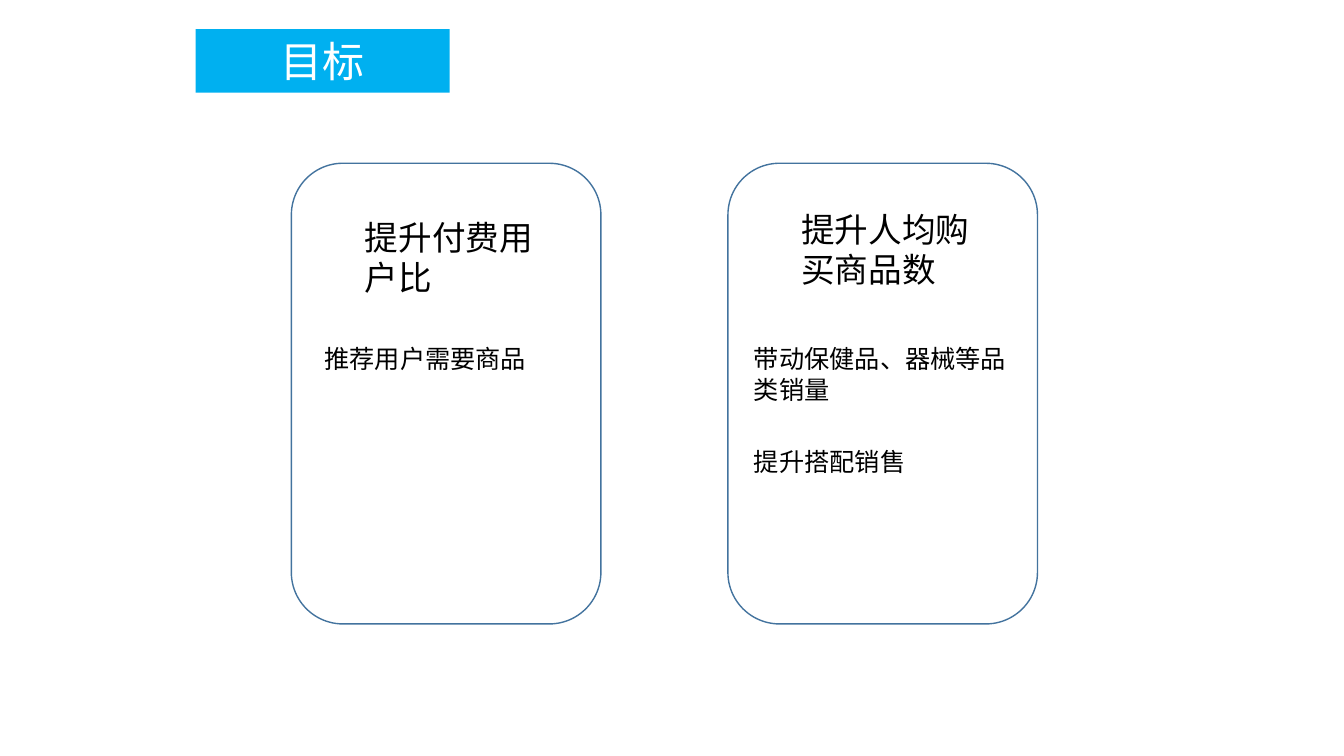
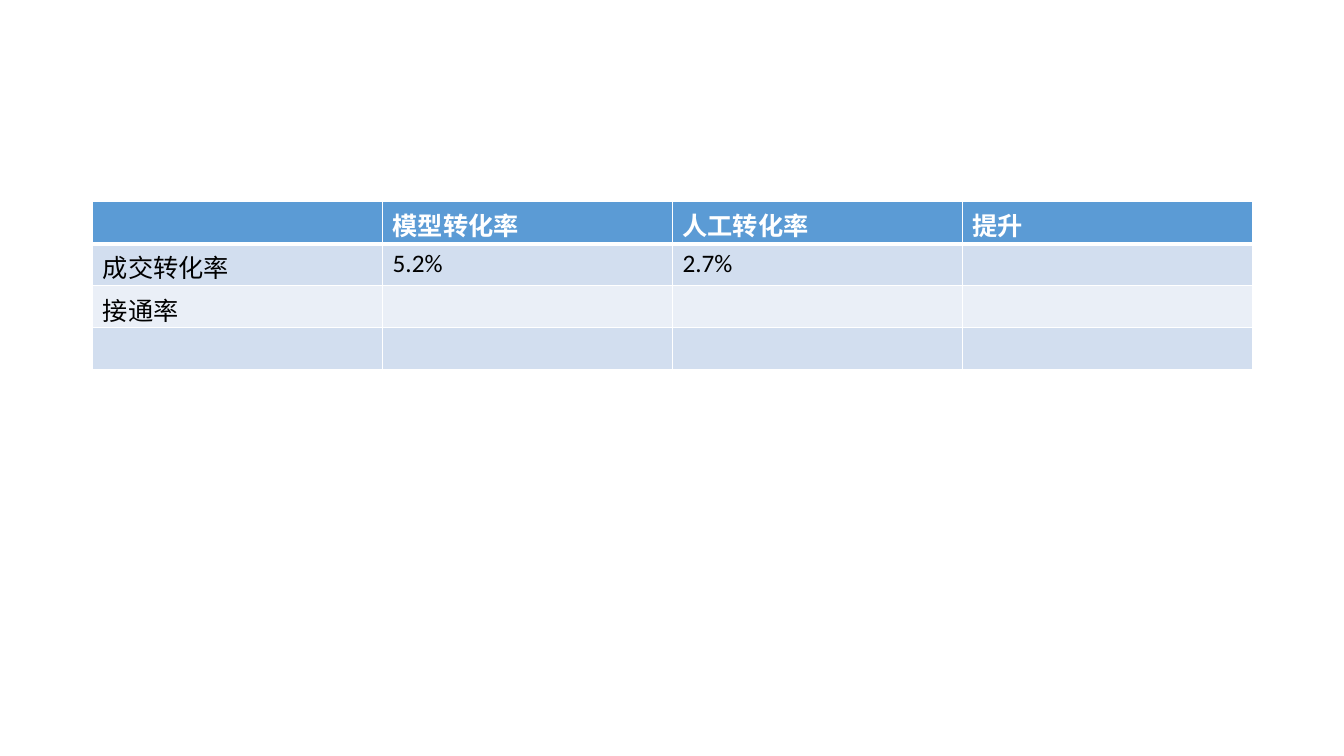
from dataclasses import dataclass

from lxml import etree
from pptx import Presentation
from pptx.dml.color import RGBColor
from pptx.enum import shapes, text
from pptx.oxml import ns
from pptx.util import Inches, Pt


@dataclass(frozen=True)
class Theme:
    cjk: str = "Noto Sans CJK SC"
    latin: str = "Calibri"
    white: str = "FFFFFF"
    black: str = "000000"
    banner: str = "00B0F0"
    edge: str = "43739E"
    header: str = "5B9BD5"
    bands: tuple = ("D2DEEF", "EAEFF7")
    title: int = 30
    head: int = 24
    body: int = 18
    thin: int = 1
    thick: int = 3


THEME = Theme()


def rgb(code):
    return RGBColor.from_string(code)


def paint(fill, color):
    fill.solid()
    fill.fore_color.rgb = rgb(color)


def write(frame, words, size, color=THEME.black, face=THEME.cjk, bold=False):
    run = frame.paragraphs[0].add_run()
    run.text = words
    font = run.font
    font.size, font.name, font.bold = Pt(size), face, bold
    font.color.rgb = rgb(color)
    east = etree.Element(ns.qn("a:ea"), typeface=THEME.cjk)
    run._r.rPr.find(ns.qn("a:latin")).addnext(east)


def add_box(slide, kind, left, top, width, height):
    box = slide.shapes.add_shape(
        kind, Inches(left), Inches(top), Inches(width), Inches(height))
    box.shadow.inherit = False
    return box


def add_banner(slide, words):
    box = add_box(slide, shapes.MSO_SHAPE.RECTANGLE, 1.94, 0.29, 2.52, 0.63)
    paint(box.fill, THEME.banner)
    box.line.fill.background()
    frame = box.text_frame
    frame.vertical_anchor = text.MSO_ANCHOR.MIDDLE
    frame.paragraphs[0].alignment = text.PP_ALIGN.CENTER
    write(frame, words, THEME.title, THEME.white)


def add_panel(slide, left):
    box = add_box(
        slide, shapes.MSO_SHAPE.ROUNDED_RECTANGLE, left, 1.62, 3.07, 4.57)
    box.fill.background()
    box.line.color.rgb = rgb(THEME.edge)
    box.line.width = Pt(THEME.thin)


def add_label(slide, words, size, left, top, width, height):
    box = slide.shapes.add_textbox(
        Inches(left), Inches(top), Inches(width), Inches(height))
    frame = box.text_frame
    frame.word_wrap = True
    frame.auto_size = text.MSO_AUTO_SIZE.SHAPE_TO_FIT_TEXT
    write(frame, words, size)


def add_goal(slide, left, head, top, inset, notes):
    add_panel(slide, left)
    add_label(slide, head, THEME.head, left + 0.63, top, 1.89, 0.91)
    for words, y, height in notes:
        add_label(slide, words, THEME.body, left + inset, y, 2.76, height)


def add_edge(cell, side, width):
    line = etree.SubElement(
        cell._tc.get_or_add_tcPr(), ns.qn(f"a:ln{side}"), w=str(Pt(width)))
    fill = etree.SubElement(line, ns.qn("a:solidFill"))
    etree.SubElement(fill, ns.qn("a:srgbClr"), val=THEME.white)


def style_cell(cell, row, words):
    top = row == 0
    for side in "LRTB":
        heavy = (row, side) in ((0, "B"), (1, "T"))
        add_edge(cell, side, THEME.thick if heavy else THEME.thin)
    paint(cell.fill, THEME.header if top else THEME.bands[(row - 1) % 2])
    if words:
        write(cell.text_frame, words, THEME.body,
              THEME.white if top else THEME.black, THEME.latin, top)


def add_grid(slide, rows):
    count, span = len(rows), len(rows[0])
    grid = slide.shapes.add_table(
        count, span, Inches(0.92), Inches(2),
        Inches(11.5), Inches(1.67)).table
    for r, line in enumerate(rows):
        for c, words in enumerate(line):
            style_cell(grid.cell(r, c), r, words)


def add_page(deck):
    return deck.slides.add_slide(deck.slide_layouts[6])


def main():
    deck = Presentation()
    deck.slide_width, deck.slide_height = Inches(13.33), Inches(7.5)

    goals = add_page(deck)
    add_banner(goals, "目标")
    add_goal(goals, 2.89, "提升付费用户比", 2.1, 0.23,
             [("推荐用户需要商品", 3.36, 0.4)])
    add_goal(goals, 7.22, "提升人均购买商品数", 2.02, 0.16,
             [("带动保健品、器械等品类销量", 3.36, 0.71),
              ("提升搭配销售", 4.38, 0.4)])

    rates = add_page(deck)
    add_grid(rates, [
        ("", "模型转化率", "人工转化率", "提升"),
        ("成交转化率", "5.2%", "2.7%", ""),
        ("接通率", "", "", ""),
        ("", "", "", ""),
    ])
    deck.save("out.pptx")


if __name__ == "__main__":
    main()
